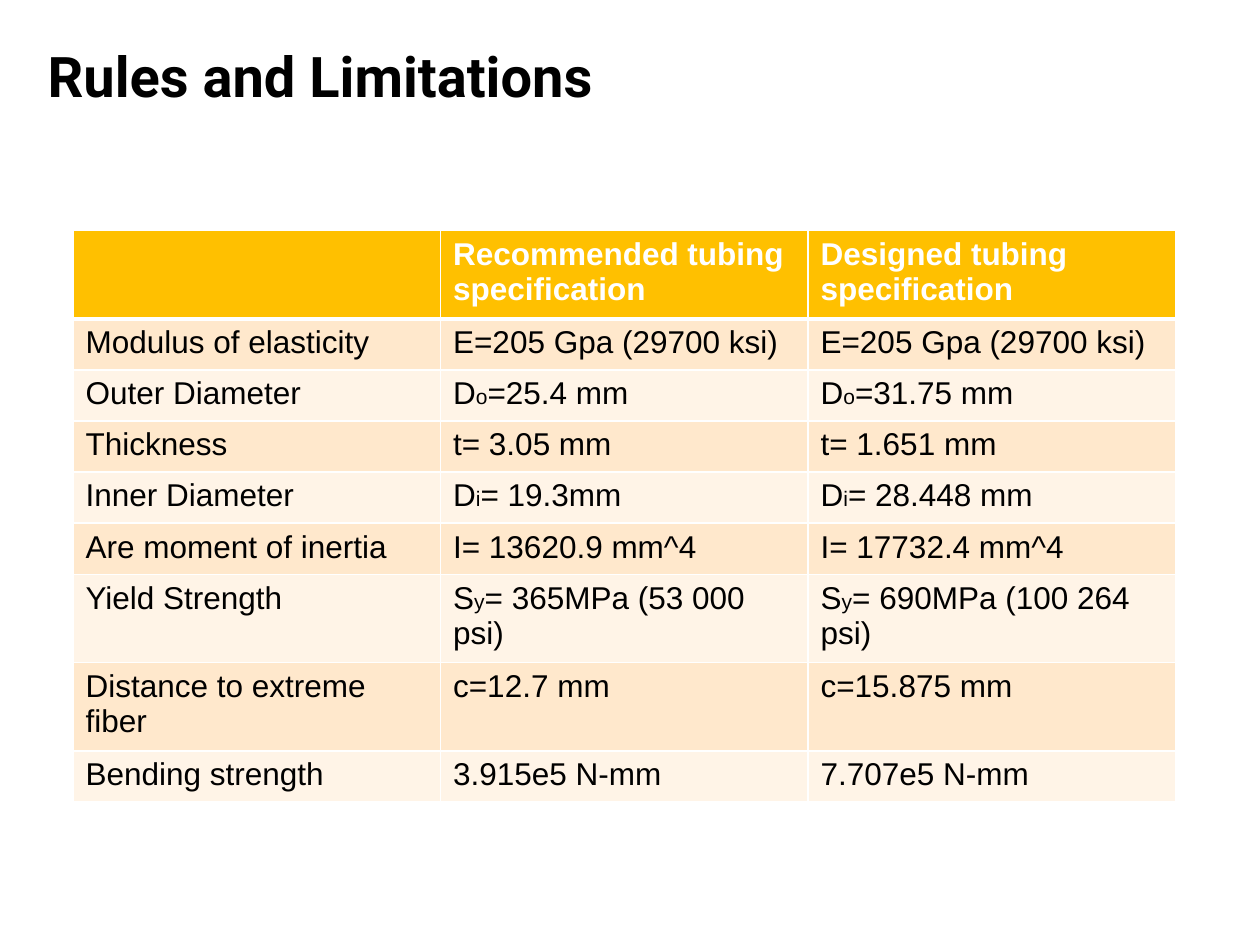
from typing import NamedTuple

from pptx import Presentation
from pptx.dml.color import RGBColor
from pptx.enum.text import MSO_AUTO_SIZE
from pptx.oxml import parse_xml
from pptx.oxml.ns import nsdecls
from pptx.util import Inches, Pt

COLORS = {
    "ink": "000000",
    "paper": "FFFFFF",
    "header": "FFC000",
    "odd": "FFE8CC",
    "even": "FFF4E7",
}
SLIDE_WIDTH, SLIDE_HEIGHT = Inches(10), Inches(7.5)
ONE_LINE, TWO_LINES = Pt(29.2), Inches(0.7)
BODY_SIZE, SUBSCRIPT_SIZE = 18, 12


class Spec(NamedTuple):
    """One table row; underscores enclose a small subscript letter."""
    label: str
    recommended: str
    designed: str
    height: int = ONE_LINE


SPECS = [
    Spec("", "Recommended tubing specification", "Designed tubing specification", TWO_LINES),
    Spec("Modulus of elasticity", "E=205 Gpa (29700 ksi)", "E=205 Gpa (29700 ksi)"),
    Spec("Outer Diameter", "D_o_=25.4 mm", "D_o_=31.75 mm"),
    Spec("Thickness", "t= 3.05 mm", "t= 1.651 mm"),
    Spec("Inner Diameter", "D_i_= 19.3mm", "D_i_= 28.448 mm"),
    Spec("Are moment of inertia", "I= 13620.9 mm^4", "I= 17732.4 mm^4"),
    Spec("Yield Strength", "S_y_= 365MPa (53 000 psi)", "S_y_= 690MPa (100 264 psi)", TWO_LINES),
    Spec("Distance to extreme fiber", "c=12.7 mm", "c=15.875 mm", TWO_LINES),
    Spec("Bending strength", "3.915e5 N-mm", "7.707e5 N-mm"),
]


def style_font(font, name: str, size: float, color: str, bold: bool) -> None:
    font.name, font.size, font.bold = name, Pt(size), bold
    font.color.rgb = RGBColor.from_string(COLORS[color])


def add_borders(cell, top: float, bottom: float) -> None:
    properties = cell._tc.get_or_add_tcPr()
    for side, width in {"L": 1, "R": 1, "T": top, "B": bottom}.items():
        properties.append(parse_xml(
            f'<a:ln{side} {nsdecls("a")} w="{Pt(width)}"><a:solidFill>'
            f'<a:srgbClr val="{COLORS["paper"]}"/></a:solidFill></a:ln{side}>'))


def fill_cell(cell, content: str, row: int) -> None:
    is_header = row == 0
    # The rule under the header belongs to both rows that share it.
    add_borders(cell, top=3 if row == 1 else 1, bottom=3 if is_header else 1)
    band = "header" if is_header else ("odd" if row % 2 else "even")
    cell.fill.solid()
    cell.fill.fore_color.rgb = RGBColor.from_string(COLORS[band])

    paragraph = cell.text_frame.paragraphs[0]
    style_font(paragraph.font, "Arial", BODY_SIZE, "ink", False)
    if not content:
        return
    for position, part in enumerate(content.split("_")):
        run = paragraph.add_run()
        run.text = part
        style_font(run.font, "Arial", SUBSCRIPT_SIZE if position == 1 else BODY_SIZE,
                   "paper" if is_header else "ink", is_header)


def add_title(slide, title: str) -> None:
    box = slide.shapes.add_textbox(Inches(0.28), Inches(0.28), Inches(7.18), Inches(0.64))
    frame = box.text_frame
    frame.word_wrap = True
    frame.auto_size = MSO_AUTO_SIZE.SHAPE_TO_FIT_TEXT
    frame.text = title
    style_font(frame.paragraphs[0].runs[0].font, "Roboto", 32, "ink", True)


def add_spec_table(slide, specs: list[Spec]) -> None:
    table = slide.shapes.add_table(
        len(specs), 3, Inches(0.58), Inches(1.83), Inches(8.75),
        sum(spec.height for spec in specs)).table
    for row, spec in enumerate(specs):
        table.rows[row].height = spec.height
        for column, content in enumerate(spec[:3]):
            fill_cell(table.cell(row, column), content, row)


def main() -> None:
    presentation = Presentation()
    presentation.slide_width, presentation.slide_height = SLIDE_WIDTH, SLIDE_HEIGHT
    slide = presentation.slides.add_slide(presentation.slide_layouts[6])
    add_title(slide, "Rules and Limitations")
    add_spec_table(slide, SPECS)
    presentation.save("out.pptx")


if __name__ == "__main__":
    main()
